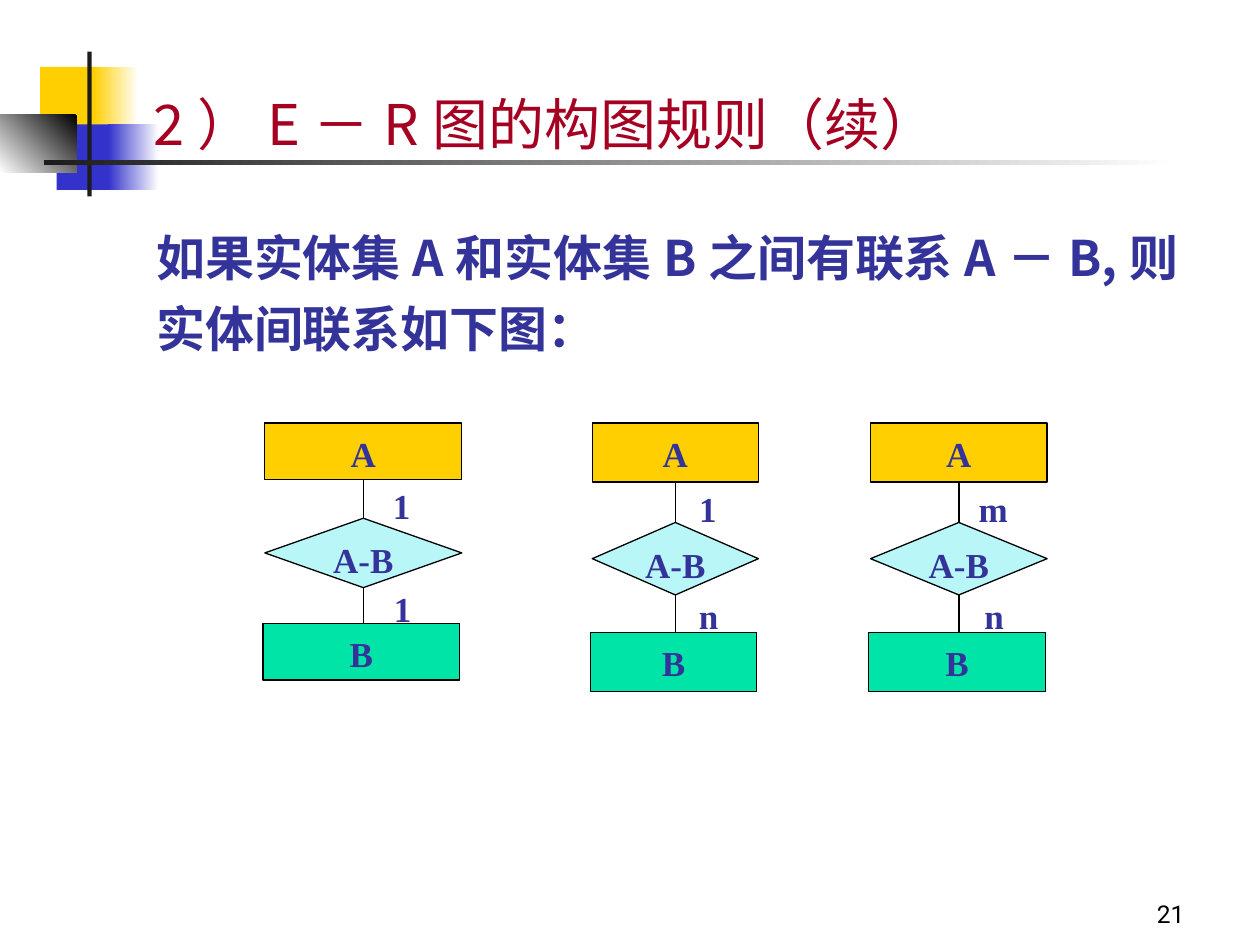
"""Build the slide on drawing rules for E-R diagrams."""
from lxml import etree
from pptx import Presentation
from pptx.dml.color import RGBColor
from pptx.enum import shapes, text
from pptx.oxml import ns
from pptx.util import Cm, Pt

YELLOW = RGBColor(0xFF, 0xCF, 0x01)
BLUE = RGBColor(0x33, 0x33, 0xCC)
WHITE = RGBColor(0xFF, 0xFF, 0xFF)
BLACK = RGBColor(0, 0, 0)
CHARCOAL = RGBColor(0x1C, 0x1C, 0x1C)
RED = RGBColor(0xA5, 0x00, 0x21)
INDIGO = RGBColor(0x33, 0x33, 0x99)
AQUA = RGBColor(0xB8, 0xF6, 0xF8)
GREEN = RGBColor(0x00, 0xE4, 0xA8)

SANS, SERIF, ROBOTO = "Noto Sans CJK SC", "Times New Roman", "Roboto"
RECTANGLE, DIAMOND = shapes.MSO_SHAPE.RECTANGLE, shapes.MSO_SHAPE.DIAMOND
LEFT, CENTER, RIGHT = text.PP_ALIGN.LEFT, text.PP_ALIGN.CENTER, text.PP_ALIGN.RIGHT
TOP, BOTTOM = text.MSO_ANCHOR.TOP, text.MSO_ANCHOR.BOTTOM

# box in centimetres, colours (one is solid, two are a gradient), angle
DECORATIONS = [
    ((0.81, 1.35, 1.22, 1.32), [YELLOW], 0),
    ((1.88, 1.35, 0.91, 1.32), [WHITE, YELLOW], 180),
    ((1.14, 2.51, 1.17, 1.32), [BLUE], 0),
    ((2.18, 2.51, 1.02, 1.32), [WHITE, BLUE], 180),
    ((0, 2.31, 1.55, 1.17), [BLACK, WHITE], 225),
    ((1.76, 1.04, 0.09, 2.92), [CHARCOAL], 0),
    ((0.89, 3.22, 22.86, 0.1), [WHITE, CHARCOAL], 180),
]
TITLE = [("2）E－R图的构图规则（续）", SANS)]
STATEMENT = [
    ("如果实体集", SERIF), ("A", SANS), ("和实体集", SERIF), ("B", SANS),
    ("之间有联系", SERIF), ("A", SANS), ("－", SERIF),
    ("B,则实体间联系如下图：", SANS),
]
DIAGRAM_TOP = 8.53
# left, width, height, upper and lower cardinality
DIAGRAMS = [
    (5.34, 3.97, 5.18, "1", "1"),
    (11.94, 3.35, 5.41, "1", "n"),
    (17.55, 3.56, 5.41, "m", "n"),
]
# preset, words, fill, top inset, box as fractions of the diagram
NODES = [
    (RECTANGLE, "A", YELLOW, 0.18, (0, 0, 1, 0.22)),
    (DIAMOND, "A-B", AQUA, 0.05, (0, 0.37, 1, 0.27)),
    (RECTANGLE, "B", GREEN, 0.18, (-0.01, 0.78, 1, 0.22)),
]
CARDINALITY_BOXES = [(0.6, 0.23, 0.19, 0.11), (0.57, 0.63, 0.26, 0.13)]


def lengths(box):
    return [Cm(value) for value in box]


def write(shape, runs, size, color, bold=False, align=LEFT, anchor=TOP,
          insets=(0.25, 0.13, 0.25, 0.13), spacing=None):
    frame = shape.text_frame
    frame.word_wrap = True
    frame.vertical_anchor = anchor
    (frame.margin_left, frame.margin_top,
     frame.margin_right, frame.margin_bottom) = lengths(insets)
    paragraph = frame.paragraphs[0]
    paragraph.alignment = align
    paragraph.line_spacing = spacing
    for words, font_name in runs:
        run = paragraph.add_run()
        run.text = words
        font = run.font
        font.name, font.size, font.bold = font_name, Pt(size), bold
        font.color.rgb = color
        east_asian = etree.SubElement(run._r.get_or_add_rPr(), ns.qn("a:ea"))
        east_asian.set("typeface", SANS)


def add_filled(parent, preset, box, colors, angle=0):
    shape = parent.add_shape(preset, *box)
    shape.shadow.inherit = False
    shape.line.fill.background()
    if len(colors) == 1:
        shape.fill.solid()
        shape.fill.fore_color.rgb = colors[0]
    else:
        shape.fill.gradient()
        shape.fill.gradient_angle = angle
        for stop, color, position in zip(shape.fill.gradient_stops, colors, (0, 1)):
            stop.color.rgb = color
            stop.position = position
    return shape


def outline(line):
    line.color.rgb = BLACK
    line.width = Pt(0.75)


def add_link(parent, x, start, end):
    link = parent.add_connector(shapes.MSO_CONNECTOR.STRAIGHT, x, start, x, end)
    outline(link.line)
    etree.SubElement(link._element.spPr, ns.qn("a:effectLst"))
    return link


def add_diagram(slide, left, width, height, *cardinalities):
    parent = slide.shapes.add_group_shape().shapes

    def place(box):
        x, y, w, h = box
        return lengths((left + x * width, DIAGRAM_TOP + y * height,
                        w * width, h * height))

    nodes = []
    for preset, words, fill, top_inset, box in NODES:
        node = add_filled(parent, preset, place(box), [fill])
        outline(node.line)
        side = 0.25 if preset == RECTANGLE else 0
        write(node, [(words, SERIF)], 20, INDIGO, True, CENTER,
              insets=(side, top_inset, side, 0))
        nodes.append(node)

    upper, relation, lower = nodes
    middle = relation.left + relation.width // 2
    link = add_link(parent, middle, upper.top + upper.height, relation.top)
    link.begin_connect(upper, 2)
    link.end_connect(relation, 0)
    link = add_link(parent, middle, relation.top + relation.height, lower.top)
    link.begin_connect(relation, 2)

    for words, box in zip(cardinalities, CARDINALITY_BOXES):
        label = parent.add_textbox(*place(box))
        write(label, [(words, SERIF)], 20, INDIGO, True, CENTER,
              insets=(0, 0.05, 0, 0))


def main():
    presentation = Presentation()
    presentation.slide_width, presentation.slide_height = Cm(25.4), Cm(19.05)
    slide = presentation.slides.add_slide(presentation.slide_layouts[6])
    for box, colors, angle in DECORATIONS:
        add_filled(slide.shapes, RECTANGLE, lengths(box), colors, angle)

    number = slide.shapes.add_textbox(*lengths((18.85, 17.58, 5.28, 1.27)))
    write(number, [("21", ROBOTO)], 14, BLACK, align=RIGHT, anchor=BOTTOM)
    title = slide.shapes.add_textbox(*lengths((2.84, 0, 21.64, 3.18)))
    write(title, TITLE, 32, RED, anchor=BOTTOM, insets=(0.25, 0.13, 0.25, 0.02))
    statement = slide.shapes.add_textbox(*lengths((2.9, 4.11, 21.21, 3.1)))
    write(statement, STATEMENT, 28, INDIGO, True,
          insets=(0.25, 0.23, 0.25, 0.13), spacing=Pt(40.5))

    for diagram in DIAGRAMS:
        add_diagram(slide, *diagram)
    presentation.save("out.pptx")


if __name__ == "__main__":
    main()
